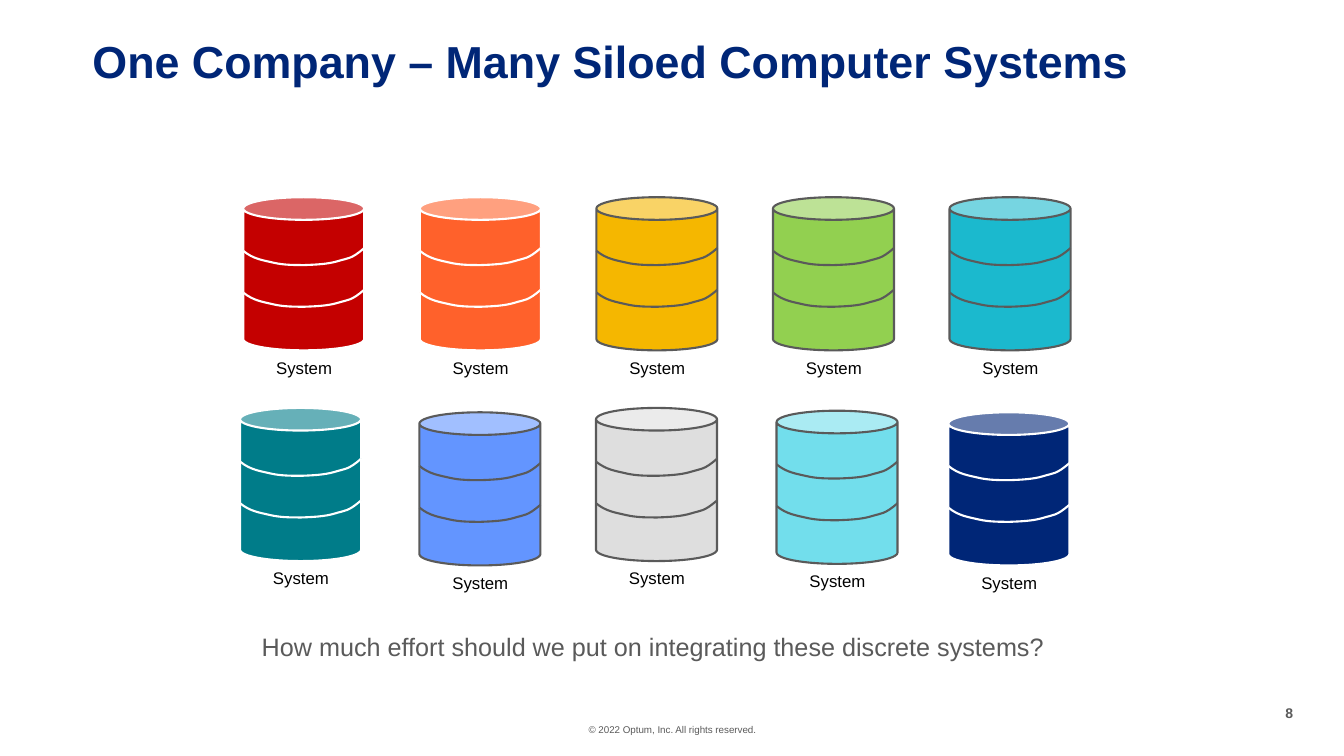
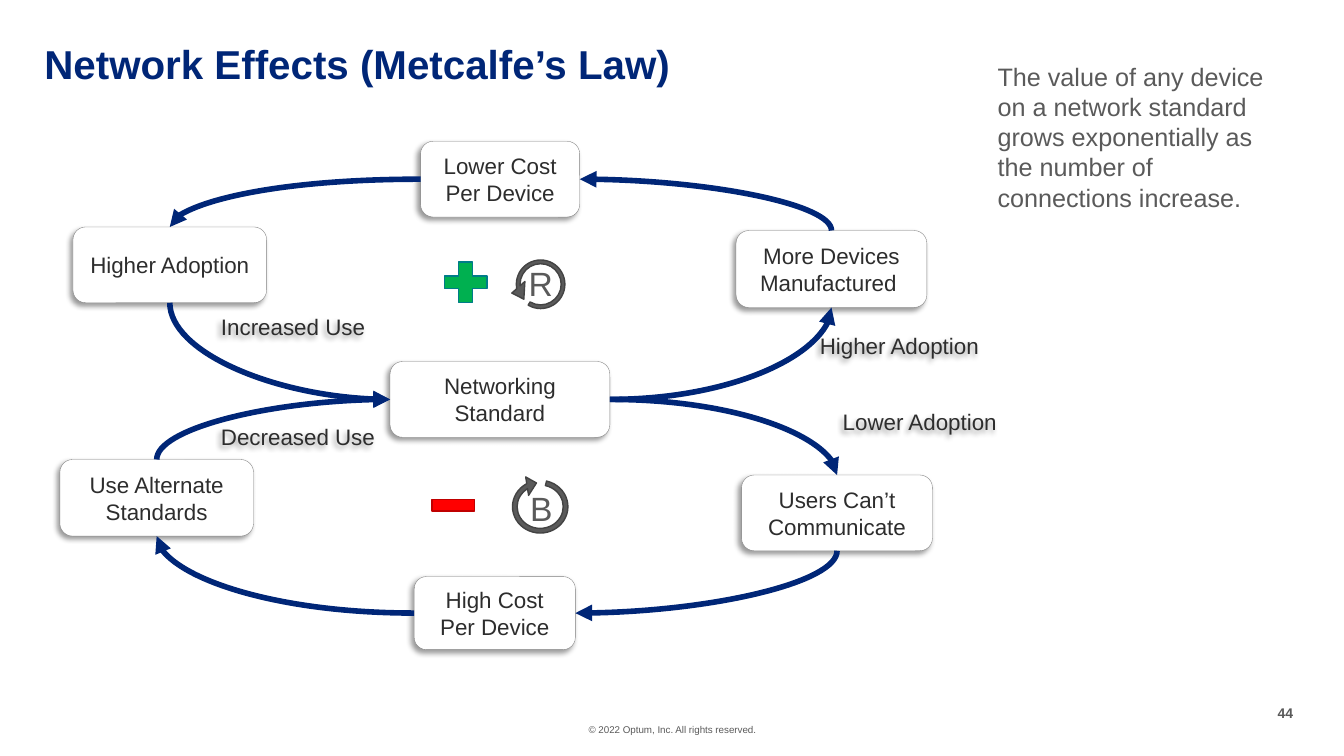
"""Build two slides: siloed computer systems and the network effects loop."""
from dataclasses import dataclass

from lxml import etree
from pptx import Presentation
from pptx import util as u
from pptx.dml import color as dml
from pptx.enum import shapes, text
from pptx.oxml import ns

SHAPE = shapes.MSO_SHAPE
ALIGN = text.PP_ALIGN
ANCHOR = text.MSO_ANCHOR


@dataclass(frozen=True)
class Theme:
    """Colours, font and type sizes of the deck."""
    font: str = "Arial"
    navy: str = "002677"
    grey: str = "5A5A5A"
    ink: str = "2D2D2D"
    black: str = "000000"
    white: str = "FFFFFF"
    node_edge: str = "808080"
    badge_edge: str = "434343"
    green: str = "00B050"
    teal: str = "007C89"
    red: str = "FF0000"
    dark_red: str = "C00000"
    copyright_size: float = 7
    page_size: float = 10
    system_size: float = 12
    node_size: float = 16
    body_size: float = 18
    badge_size: float = 24


THEME = Theme()
CAN_WIDTH, CAN_HEIGHT = 3.05, 3.86
BAND_OFFSETS = (1.28, 2.33)
BAND_START = (0, 0.07)
BAND_CURVES = (
    ((0.25, 0.28), (0.51, 0.31), (0.76, 0.37)),
    ((1.02, 0.43), (1.27, 0.43), (1.55, 0.43)),
    ((1.8, 0.42), (2.13, 0.41), (2.39, 0.33)),
    ((2.64, 0.25), (2.72, 0.29), (3.05, 0)),
)
TOP, LEFT, BOTTOM, RIGHT = range(4)

UPPER_SYSTEMS = (
    ("C40000", THEME.white),
    ("FF612B", THEME.white),
    ("F5B700", THEME.grey),
    ("92D050", THEME.grey),
    ("1BB9CE", THEME.grey),
)
LOWER_SYSTEMS = (
    (6.05, 10.28, THEME.teal, THEME.white),
    (10.57, 10.39, "6395FF", THEME.grey),
    (15.02, 10.28, "DEDEDE", THEME.grey),
    (19.57, 10.35, "72DEEC", THEME.grey),
    (23.9, 10.39, THEME.navy, THEME.white),
)
NODES = {
    "high cost": ("High Cost Per Device", (10.44, 14.53, 4.06, 1.84)),
    "devices": ("More Devices\nManufactured ", (18.55, 5.81, 4.81, 1.94)),
    "low cost": ("Lower Cost\nPer Device", (10.6, 3.56, 4.01, 1.91)),
    "users": ("Users Can’t Communicate", (18.69, 11.97, 4.81, 1.91)),
    "adoption": ("Higher Adoption", (1.84, 5.72, 4.88, 1.91)),
    "alternate": ("Use Alternate Standards", (1.51, 11.58, 4.88, 1.93)),
    "standard": ("Networking\nStandard", (9.83, 9.11, 5.54, 1.91)),
}
FLOWS = (
    ("users", BOTTOM, "high cost", RIGHT),
    ("high cost", LEFT, "alternate", BOTTOM),
    ("alternate", TOP, "standard", LEFT),
    ("standard", RIGHT, "users", TOP),
    ("standard", RIGHT, "devices", BOTTOM),
    ("devices", TOP, "low cost", RIGHT),
    ("low cost", LEFT, "adoption", TOP),
    ("adoption", BOTTOM, "standard", LEFT),
)
FLOW_LABELS = (
    ("Increased Use", (5.3, 7.75, 4.17, 0.94)),
    ("Lower Adoption", (20.96, 10.16, 4.44, 0.94)),
    ("Higher Adoption", (20.38, 8.23, 4.57, 0.94)),
    ("Decreased Use", (5.29, 10.52, 4.44, 0.94)),
)


def rgb(value):
    """Return a colour object for a hex value."""
    return dml.RGBColor.from_string(value)


def lengths(values):
    """Convert centimetres to slide lengths."""
    return [u.Cm(value) for value in values]


def write(shape, words, *, size, color, bold=False, align=ALIGN.LEFT,
          anchor=ANCHOR.TOP, inset=True, wrap=True, spacing=None):
    """Put formatted text in a shape, one paragraph a line."""
    frame = shape.text_frame
    frame.text = words
    frame.word_wrap = wrap
    frame.vertical_anchor = anchor
    if not inset:
        frame.margin_left = frame.margin_right = 0
        frame.margin_top = frame.margin_bottom = 0
    for paragraph in frame.paragraphs:
        paragraph.alignment = align
        if spacing:
            paragraph.line_spacing = spacing
        for run in paragraph.runs:
            run.font.name = THEME.font
            run.font.size = u.Pt(size)
            run.font.bold = bold
            run.font.color.rgb = rgb(color)


def add_words(parent, words, box, **style):
    """Add a text box and return it."""
    holder = parent.add_textbox(*lengths(box))
    write(holder, words, **style)
    return holder


def paint(figure, fill, edge, weight):
    """Give a shape a flat fill and outline."""
    figure.shadow.inherit = False
    figure.fill.solid()
    figure.fill.fore_color.rgb = rgb(fill)
    figure.line.color.rgb = rgb(edge)
    figure.line.width = u.Pt(weight)


def add_figure(parent, preset, box, fill, edge, weight, adjustments=()):
    """Add a flat preset shape and return it."""
    figure = parent.add_shape(preset, *lengths(box))
    paint(figure, fill, edge, weight)
    for index, value in enumerate(adjustments):
        figure.adjustments[index] = value
    return figure


def add_shadow(shape):
    """Give a shape a soft shadow to the lower left."""
    shape.shadow.inherit = False
    effects = shape._element.spPr.find(ns.qn("a:effectLst"))
    shadow = etree.SubElement(
        effects, ns.qn("a:outerShdw"), blurRad=str(u.Pt(4)),
        dist=str(u.Pt(3)), dir="8100000", algn="tr", rotWithShape="0")
    tint = etree.SubElement(shadow, ns.qn("a:srgbClr"), val=THEME.black)
    etree.SubElement(tint, ns.qn("a:alpha"), val="40000")


def add_slide(deck, title, title_box, title_size, page):
    """Add a slide with title, copyright line and page number."""
    slide = deck.slides.add_slide(deck.slide_layouts[6])
    parts = slide.shapes
    add_words(parts, "© 2022 Optum, Inc. All rights reserved.",
              (13.06, 18.24, 7.77, 0.3), size=THEME.copyright_size,
              color=THEME.grey, align=ALIGN.CENTER, inset=False)
    add_words(parts, page, (32.16, 17.75, 0.43, 0.43), size=THEME.page_size,
              color=THEME.grey, bold=True, align=ALIGN.RIGHT, inset=False,
              wrap=False)
    add_words(parts, title, title_box, size=title_size, color=THEME.navy,
              bold=True, inset=False, spacing=0.9)
    return parts


def add_band(system, left, top, fill, edge):
    """Add the curved band of a can."""
    x, y = BAND_START
    builder = system.build_freeform(*lengths((left + x, top + y)))
    builder.add_line_segments(
        [lengths((left + x, top + y)) for *_, (x, y) in BAND_CURVES],
        close=False)
    band = builder.convert_to_shape()
    paint(band, fill, edge, 1.5)
    segments = list(band._element.iter(ns.qn("a:lnTo")))
    for segment, curve in zip(segments, BAND_CURVES):
        bend = etree.Element(ns.qn("a:cubicBezTo"))
        for point in curve:
            x, y = lengths(point)
            etree.SubElement(bend, ns.qn("a:pt"), x=str(x), y=str(y))
        segment.getparent().replace(segment, bend)


def add_system(parts, left, top, fill, edge):
    """Add a banded can with its label as one group."""
    system = parts.add_group_shape().shapes
    add_figure(system, SHAPE.CAN, (left, top, CAN_WIDTH, CAN_HEIGHT),
               fill, edge, 1.5, (0.187,))
    for offset in BAND_OFFSETS:
        add_band(system, left, top + offset, fill, edge)
    add_words(system, "System", (left + 0.57, top + 3.91, 1.93, 0.76),
              size=THEME.system_size, color=THEME.black,
              align=ALIGN.CENTER, wrap=False)


def add_node(parts, words, box):
    """Add a rounded, shadowed step of the loop."""
    node = add_figure(parts, SHAPE.ROUNDED_RECTANGLE, box,
                      THEME.white, THEME.node_edge, 0.25)
    add_shadow(node)
    write(node, words, size=THEME.node_size, color=THEME.ink,
          align=ALIGN.CENTER, anchor=ANCHOR.MIDDLE)
    return node


def turn_upright(flow):
    """Rotate a quarter curve so that it leaves its start vertically."""
    dx, dy = flow.end_x - flow.begin_x, flow.end_y - flow.begin_y
    center_x = (flow.begin_x + flow.end_x) // 2
    center_y = (flow.begin_y + flow.end_y) // 2
    flow.width, flow.height = abs(dy), abs(dx)
    flow.left = center_x - flow.width // 2
    flow.top = center_y - flow.height // 2
    frame = flow._element.spPr.find(ns.qn("a:xfrm"))
    quarter_turns = 1 if dx * dy < 0 else 3
    frame.set("rot", str(quarter_turns * 5400000))
    frame.set("flipH", str(int(dx > 0)))
    frame.set("flipV", str(int(dy < 0)))


def add_flow(parts, source, source_side, target, target_side):
    """Join two nodes with a curved arrow."""
    flow = parts.add_connector(shapes.MSO_CONNECTOR.CURVE, 0, 0, 0, 0)
    flow.begin_connect(source, source_side)
    flow.end_connect(target, target_side)
    flow.line.color.rgb = rgb(THEME.navy)
    flow.line.width = u.Pt(4)
    properties = flow._element.spPr
    properties.find(ns.qn("a:prstGeom")).set("prst", "curvedConnector2")
    etree.SubElement(properties.find(ns.qn("a:ln")), ns.qn("a:tailEnd"),
                     type="triangle")
    etree.SubElement(properties, ns.qn("a:effectLst"))
    if source_side in (TOP, BOTTOM):
        turn_upright(flow)


def add_badge(parts, letter, letter_box, arrow_box, adjustments, mirrored):
    """Add a loop letter inside a circular arrow."""
    badge = parts.add_group_shape().shapes
    arrow = add_figure(badge, SHAPE.CIRCULAR_ARROW, arrow_box, THEME.grey,
                       THEME.badge_edge, 1, adjustments)
    if mirrored:
        arrow._element.spPr.find(ns.qn("a:xfrm")).set("flipH", "1")
    add_words(badge, letter, letter_box, size=THEME.badge_size,
              color=THEME.grey, align=ALIGN.CENTER, wrap=False)


def build_systems(deck):
    """Build the slide of siloed systems."""
    parts = add_slide(deck, "One Company – Many Siloed Computer Systems",
                      (2.33, 1, 29.21, 0.84), 32, "8")
    for column, (fill, edge) in enumerate(UPPER_SYSTEMS):
        add_system(parts, 6.13 + 4.45 * column, 4.97, fill, edge)
    for system in LOWER_SYSTEMS:
        add_system(parts, *system)
    add_words(parts, "How much effort should we put on integrating these "
              "discrete systems?", (6.5, 15.91, 19.91, 0.76),
              size=THEME.body_size, color=THEME.grey, align=ALIGN.CENTER,
              inset=False, wrap=False)


def build_network(deck):
    """Build the slide of network effects."""
    parts = add_slide(deck, "Network Effects (Metcalfe’s Law)",
                      (1.12, 1.12, 17.58, 1.17), 28.8, "44")
    nodes = {key: add_node(parts, *node) for key, node in NODES.items()}
    for words, box in FLOW_LABELS:
        add_shadow(add_words(parts, words, box, size=THEME.node_size,
                             color=THEME.ink, align=ALIGN.CENTER,
                             anchor=ANCHOR.MIDDLE, wrap=False))
    add_words(parts, "The value of any device on a network standard grows "
              "exponentially as the number of connections increase.",
              (24.89, 1.41, 7.85, 4.88), size=THEME.body_size,
              color=THEME.grey)
    add_figure(parts, SHAPE.CROSS, (11.2, 6.6, 1.07, 1.02),
               THEME.green, THEME.teal, 1, (0.348,))
    add_figure(parts, SHAPE.RECTANGLE, (10.89, 12.58, 1.07, 0.3),
               THEME.red, THEME.dark_red, 1)
    for source, source_side, target, target_side in FLOWS:
        add_flow(parts, nodes[source], source_side, nodes[target], target_side)
    add_badge(parts, "R", (13.06, 6.5, 1.14, 1.27), (12.84, 6.38, 1.57, 1.57),
              (0.06, 20.4, 4.57, 35.49, 0.14), True)
    add_badge(parts, "B", (13.1, 12.17, 1.09, 1.27),
              (12.74, 11.93, 1.75, 1.68),
              (0.07, 14.05, 142.56, 170.3, 0.14), False)


def main():
    """Build and save the deck."""
    deck = Presentation()
    deck.slide_width, deck.slide_height = lengths((33.87, 19.05))
    build_systems(deck)
    build_network(deck)
    deck.save("out.pptx")


if __name__ == "__main__":
    main()
